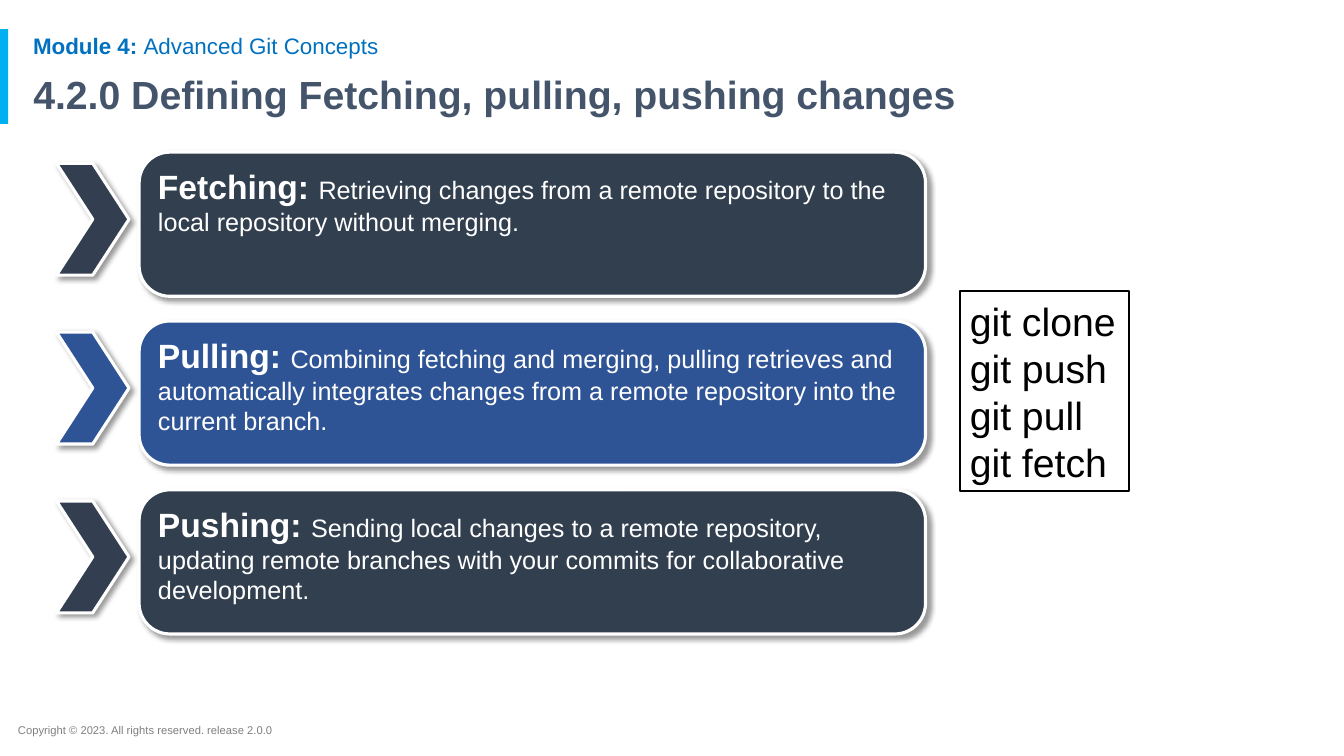
from lxml.etree import SubElement
from pptx import Presentation
from pptx.dml.color import RGBColor
from pptx.enum.shapes import MSO_SHAPE
from pptx.enum.text import MSO_ANCHOR, PP_ALIGN
from pptx.oxml.ns import qn
from pptx.util import Inches, Pt

COLORS = {
    "accent": "00B0F0",
    "module": "0070C0",
    "title": "44546A",
    "copyright": "7F7F7F",
    "slate": "323F4F",
    "slate_chevron": "333F50",
    "blue": "2F5496",
    "white": "FFFFFF",
    "black": "000000",
}
FONT = "Arial"
CONCEPTS = [
    ("Fetching: ", "Retrieving changes from a remote repository to the local "
     "repository without merging.", "slate", "slate_chevron"),
    ("Pulling: ", "Combining fetching and merging, pulling retrieves and "
     "automatically integrates changes from a remote repository into the "
     "current branch.", "blue", "blue"),
    ("Pushing: ", "Sending local changes to a remote repository, updating "
     "remote branches with your commits for collaborative development.",
     "slate", "slate_chevron"),
]
COMMANDS = ["git clone", "git push", "git pull", "git fetch"]
FIRST_TOP, ROW_PITCH, CHEVRON_DROP = 1.51, 1.675, 0.11


def rgb(color):
    """Return the named colour."""
    return RGBColor.from_string(COLORS[color])


def style_paragraph(paragraph, color, size=None, bold=None, spacing=None):
    """Set the font and line spacing shared by a whole paragraph."""
    paragraph.alignment = PP_ALIGN.LEFT
    paragraph.line_spacing = spacing
    paragraph.font.name = FONT
    paragraph.font.color.rgb = rgb(color)
    paragraph.font.size = size
    paragraph.font.bold = bold


def add_lead_in(paragraph, lead, rest, lead_size, rest_size):
    """Write a bold lead-in followed by regular text."""
    for text, size, bold in ((lead, lead_size, True), (rest, rest_size, False)):
        run = paragraph.add_run()
        run.text = text
        run.font.size = size
        run.font.bold = bold


def add_text_area(slide, left, top, width, height):
    """Add a wrapping, vertically centred text box and return its text frame."""
    frame = slide.shapes.add_textbox(
        Inches(left), Inches(top), Inches(width), Inches(height)).text_frame
    frame.word_wrap = True
    frame.vertical_anchor = MSO_ANCHOR.MIDDLE
    return frame


def add_block(slide, kind, left, top, width, height, fill, line=None, weight=0):
    """Add a filled shape without shadow, outlined if a line colour is given."""
    block = slide.shapes.add_shape(
        kind, Inches(left), Inches(top), Inches(width), Inches(height))
    block.shadow.inherit = False
    block.fill.solid()
    block.fill.fore_color.rgb = rgb(fill)
    if line:
        block.line.color.rgb = rgb(line)
        block.line.width = Pt(weight)
    else:
        block.line.fill.background()
    return block


def add_shadow(block):
    """Cast a soft shadow to the lower right."""
    effects = block._element.spPr.find(qn("a:effectLst"))
    shadow = SubElement(effects, qn("a:outerShdw"), blurRad=str(Pt(4)),
                        dist=str(Pt(3)), dir="2700000", algn="tl",
                        rotWithShape="0")
    color = SubElement(shadow, qn("a:srgbClr"), val=COLORS["black"])
    SubElement(color, qn("a:alpha"), val="40000")


def add_header(slide):
    """Add the accent bar, module line and title."""
    add_block(slide, MSO_SHAPE.RECTANGLE, 0, 0.29, 0.08, 0.94, "accent")
    module = add_text_area(slide, 0.23, 0.3, 11.5, 0.33).paragraphs[0]
    add_lead_in(module, "Module 4: ", "Advanced Git Concepts", Pt(16), Pt(16))
    style_paragraph(module, "module", Pt(16), spacing=0.9)

    title = slide.shapes.title
    title.left, title.top = Inches(0.23), Inches(0.69)
    title.width, title.height = Inches(11.5), Inches(0.54)
    title.text_frame.text = "4.2.0 Defining Fetching, pulling, pushing changes"
    title.text_frame.vertical_anchor = MSO_ANCHOR.MIDDLE
    style_paragraph(title.text_frame.paragraphs[0], "title", Pt(28), True, 0.9)


def add_concept(slide, top, term, definition, card_fill, chevron_fill):
    """Add one chevron with its definition card."""
    chevron = add_block(slide, MSO_SHAPE.CHEVRON, 0.56, top + CHEVRON_DROP,
                        0.72, 1.11, chevron_fill, "white", 2.25)
    card = add_block(slide, MSO_SHAPE.ROUNDED_RECTANGLE, 1.38, top,
                     7.8, 1.43, card_fill, "white", 2.25)
    card.adjustments[0] = 0.213
    add_shadow(chevron)
    add_shadow(card)
    card.text_frame.vertical_anchor = MSO_ANCHOR.TOP
    paragraph = card.text_frame.paragraphs[0]
    add_lead_in(paragraph, term, definition, Pt(24), Pt(18))
    style_paragraph(paragraph, "white")


def add_commands(slide):
    """Add the outlined list of git commands."""
    commands = add_block(slide, MSO_SHAPE.RECTANGLE, 9.52, 2.89, 1.68, 1.98,
                         "white", "black", 1.5).text_frame
    commands.word_wrap = False
    commands.text = "\n".join(COMMANDS)
    for paragraph in commands.paragraphs:
        style_paragraph(paragraph, "black", Pt(28))


def add_copyright(slide):
    """Add the copyright line at the foot."""
    notice = add_text_area(slide, 0.08, 7.12, 7.13, 0.24)
    notice.text = "Copyright © 2023. All rights reserved. release 2.0.0"
    style_paragraph(notice.paragraphs[0], "copyright", Pt(8))


def main():
    """Build and save the slide."""
    deck = Presentation()
    deck.slide_width, deck.slide_height = Inches(13.33), Inches(7.5)
    slide = deck.slides.add_slide(deck.slide_layouts[5])
    add_header(slide)
    for row, concept in enumerate(CONCEPTS):
        add_concept(slide, FIRST_TOP + row * ROW_PITCH, *concept)
    add_commands(slide)
    add_copyright(slide)
    deck.save("out.pptx")


if __name__ == "__main__":
    main()
